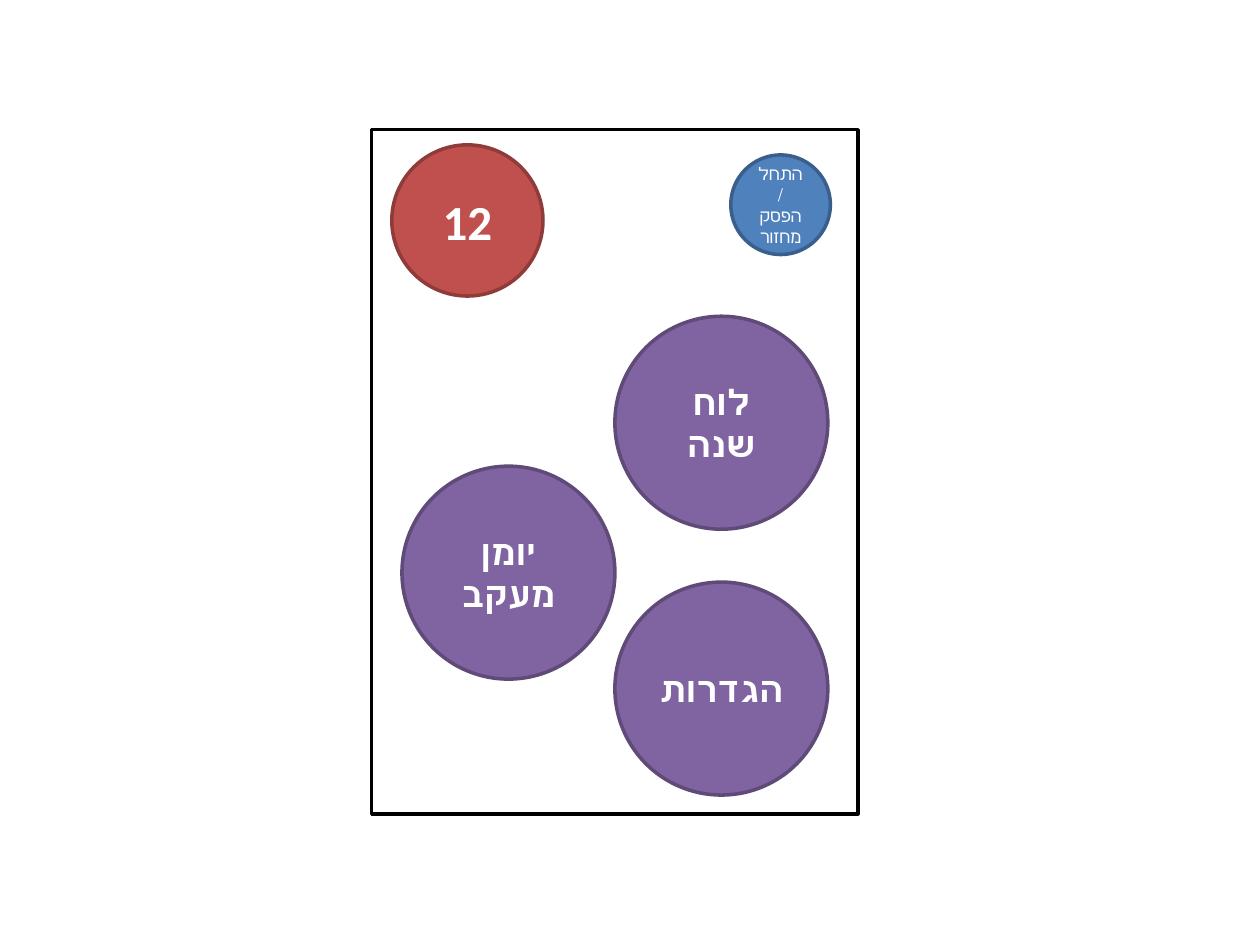
import pptx
import pptx.dml.color
import pptx.enum.shapes
import pptx.enum.text
import pptx.util
from dataclasses import dataclass


@dataclass(frozen=True)
class Theme:
    """Colours, type sizes and font of the slide."""
    white: str = "FFFFFF"
    frame: tuple = ("FFFFFF", "000000")
    counter: tuple = ("C0504D", "8E3B39")
    menu: tuple = ("8064A2", "5F4A78")
    toggle: tuple = ("4F81BD", "3A5F8C")
    counter_size: int = 28
    menu_size: int = 20
    toggle_size: int = 10
    line_width: int = 2
    font: str = "Calibri"


theme = Theme()
Kind = pptx.enum.shapes.MSO_SHAPE
rgb = pptx.dml.color.RGBColor.from_string

deck = pptx.Presentation()
deck.slide_width = pptx.util.Inches(10)
deck.slide_height = pptx.util.Inches(7.5)
slide = deck.slides.add_slide(deck.slide_layouts[6])
column = deck.slide_width / 100  # square grid, 100 columns by 75 rows


def add_panel(kind, left, top, width, height, colours):
    """Add a filled, outlined shape placed in grid units."""
    panel = slide.shapes.add_shape(
        kind, *(round(n * column) for n in (left, top, width, height)))
    panel.shadow.inherit = False
    fill, line = colours
    panel.fill.solid()
    panel.fill.fore_color.rgb = rgb(fill)
    panel.line.color.rgb = rgb(line)
    panel.line.width = pptx.util.Pt(theme.line_width)
    return panel


def write_label(button, label, size, bold):
    """Centre a label in a button, right to left when it is Hebrew."""
    button.text_frame.word_wrap = True
    button.text_frame.vertical_anchor = pptx.enum.text.MSO_ANCHOR.MIDDLE
    paragraph = button.text_frame.paragraphs[0]
    paragraph.alignment = pptx.enum.text.PP_ALIGN.CENTER
    if not label.isdigit():
        paragraph._p.get_or_add_pPr().set("rtl", "1")
    run = paragraph.add_run()
    run.text = label
    looks = {"name": theme.font, "size": pptx.util.Pt(size), "bold": bold}
    for attribute, value in looks.items():
        setattr(run.font, attribute, value)
    run.font.color.rgb = rgb(theme.white)


add_panel(Kind.RECTANGLE, 29.5, 10.3, 38.6, 54.3, theme.frame)

menu_diameter = 16.9
menu_left = 31.9
menu_right = menu_left + menu_diameter
menu_style = (menu_diameter, theme.menu, theme.menu_size, True)

buttons = [
    ("12", 31.1, 11.5, 12, theme.counter, theme.counter_size, True),
    ("לוח שנה", menu_right, 25.1, *menu_style),
    ("הגדרות", menu_right, 46.2, *menu_style),
    ("יומן מעקב", menu_left, 37, *menu_style),
    ("התחל/ הפסק מחזור", 58, 12.3, 7.9, theme.toggle, theme.toggle_size, False),
]
for label, left, top, diameter, colours, size, bold in buttons:
    button = add_panel(Kind.OVAL, left, top, diameter, diameter, colours)
    write_label(button, label, size, bold)

deck.save("out.pptx")
